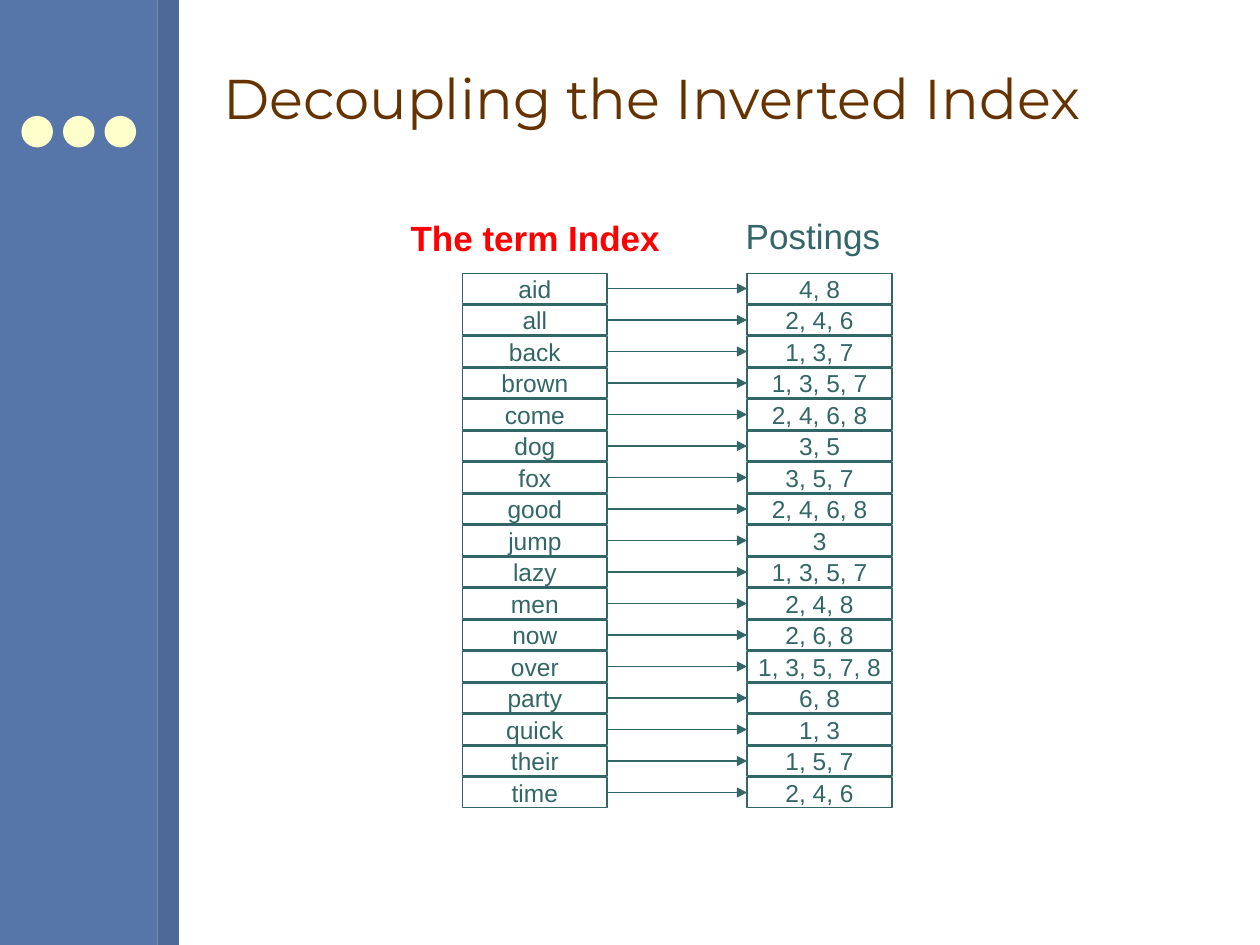
from dataclasses import dataclass

from lxml import etree
from pptx import Presentation
from pptx.dml.color import RGBColor
from pptx.enum.shapes import MSO_CONNECTOR, MSO_SHAPE
from pptx.enum.text import MSO_ANCHOR, MSO_AUTO_SIZE, PP_ALIGN
from pptx.oxml.ns import qn
from pptx.util import Inches, Pt

RECT, OVAL = MSO_SHAPE.RECTANGLE, MSO_SHAPE.OVAL
STRAIGHT = MSO_CONNECTOR.STRAIGHT
MIDDLE = MSO_ANCHOR.MIDDLE
LEFT, CENTER = PP_ALIGN.LEFT, PP_ALIGN.CENTER
NO_FIT, GROW = MSO_AUTO_SIZE.NONE, MSO_AUTO_SIZE.SHAPE_TO_FIT_TEXT
LEFT_SIDE, RIGHT_SIDE = 1, 3
TITLE_ONLY = 5


@dataclass(frozen=True)
class Theme:
    sidebar: str = "5675A9"
    stripe: str = "4D6997"
    dot: str = "FFFFCC"
    title: str = "663300"
    ink: str = "336666"
    accent: str = "FF0000"
    title_font: str = "Montserrat"
    body_font: str = "Arial"
    title_size: int = 32
    heading_size: int = 20
    cell_size: int = 14
    cell_line: float = 1
    arrow_line: float = 0.75


INDEX = [
    ("aid", "4, 8"),
    ("all", "2, 4, 6"),
    ("back", "1, 3, 7"),
    ("brown", "1, 3, 5, 7"),
    ("come", "2, 4, 6, 8"),
    ("dog", "3, 5"),
    ("fox", "3, 5, 7"),
    ("good", "2, 4, 6, 8"),
    ("jump", "3"),
    ("lazy", "1, 3, 5, 7"),
    ("men", "2, 4, 8"),
    ("now", "2, 6, 8"),
    ("over", "1, 3, 5, 7, 8"),
    ("party", "6, 8"),
    ("quick", "1, 3"),
    ("their", "1, 5, 7"),
    ("time", "2, 4, 6"),
]
TERM_X, POSTING_X = 3.67, 5.93
FIRST_Y, ROW_STEP = 2.17, 0.25
CELL_W, CELL_H = 1.15, 0.24


class SlideBuilder:
    def __init__(self, slide, theme):
        self.slide = slide
        self.theme = theme

    def set_text(self, tf, text, size, color, font=None, bold=False, align=LEFT):
        p = tf.paragraphs[0]
        p.text = text
        p.alignment = align
        p.font.name = font or self.theme.body_font
        p.font.size = Pt(size)
        p.font.bold = bold
        p.font.color.rgb = RGBColor.from_string(color)

    def title(self, text, x, y, w, h):
        s = self.slide.shapes.title
        s.left, s.top, s.width, s.height = map(Inches, (x, y, w, h))
        s.text_frame.auto_size = NO_FIT
        s.text_frame.vertical_anchor = MIDDLE
        self.set_text(s.text_frame, text, self.theme.title_size, self.theme.title,
                      self.theme.title_font)

    def block(self, kind, color, x, y, w, h):
        """Add a plain filled shape without an outline."""
        s = self.slide.shapes.add_shape(kind, *map(Inches, (x, y, w, h)))
        s.shadow.inherit = False
        s.fill.solid()
        s.fill.fore_color.rgb = RGBColor.from_string(color)
        s.line.fill.background()

    def heading(self, shapes, text, x, y, w, h, color, bold=False):
        s = shapes.add_textbox(*map(Inches, (x, y, w, h)))
        s.text_frame.word_wrap = False
        s.text_frame.auto_size = GROW
        self.set_text(s.text_frame, text, self.theme.heading_size, color, bold=bold)

    def cell(self, shapes, text, x, y):
        s = shapes.add_shape(RECT, *map(Inches, (x, y, CELL_W, CELL_H)))
        s.shadow.inherit = False
        s.fill.background()
        s.line.color.rgb = RGBColor.from_string(self.theme.ink)
        s.line.width = Pt(self.theme.cell_line)
        s.text_frame.word_wrap = False
        s.text_frame.vertical_anchor = MIDDLE
        self.set_text(s.text_frame, text, self.theme.cell_size, self.theme.ink, align=CENTER)
        return s

    def arrow(self, start, end):
        """Join the right side of start to the left side of end."""
        c = self.slide.shapes.add_connector(STRAIGHT, 0, 0, 0, 0)
        c.begin_connect(start, RIGHT_SIDE)
        c.end_connect(end, LEFT_SIDE)
        c.line.color.rgb = RGBColor.from_string(self.theme.ink)
        c.line.width = Pt(self.theme.arrow_line)
        props = c._element.spPr
        etree.SubElement(props.find(qn("a:ln")), qn("a:tailEnd"), type="triangle")
        etree.SubElement(props, qn("a:effectLst"))


def main():
    prs = Presentation()
    prs.slide_width, prs.slide_height = Inches(10), Inches(7.5)
    slide = prs.slides.add_slide(prs.slide_layouts[TITLE_ONLY])
    theme = Theme()
    b = SlideBuilder(slide, theme)

    b.block(RECT, theme.sidebar, 0, 0, 1.25, 7.5)
    b.block(RECT, theme.stripe, 1.25, 0, 0.17, 7.5)
    for i in range(3):
        b.block(OVAL, theme.dot, 0.17 + i * 0.33, 0.92, 0.25, 0.25)
    b.title("Decoupling the Inverted Index", 1.67, 0.21, 8, 1.13)

    b.heading(slide.shapes, "The term Index", 3.16, 1.67, 2.18, 0.44, theme.accent, bold=True)
    postings = slide.shapes.add_group_shape().shapes
    b.heading(postings, "Postings", 5.82, 1.65, 1.27, 0.43, theme.ink)
    for i, (term, documents) in enumerate(INDEX):
        y = FIRST_Y + i * ROW_STEP
        term_cell = b.cell(slide.shapes, term, TERM_X, y)
        posting_cell = b.cell(postings, documents, POSTING_X, y)
        b.arrow(term_cell, posting_cell)

    prs.save("out.pptx")


if __name__ == "__main__":
    main()
